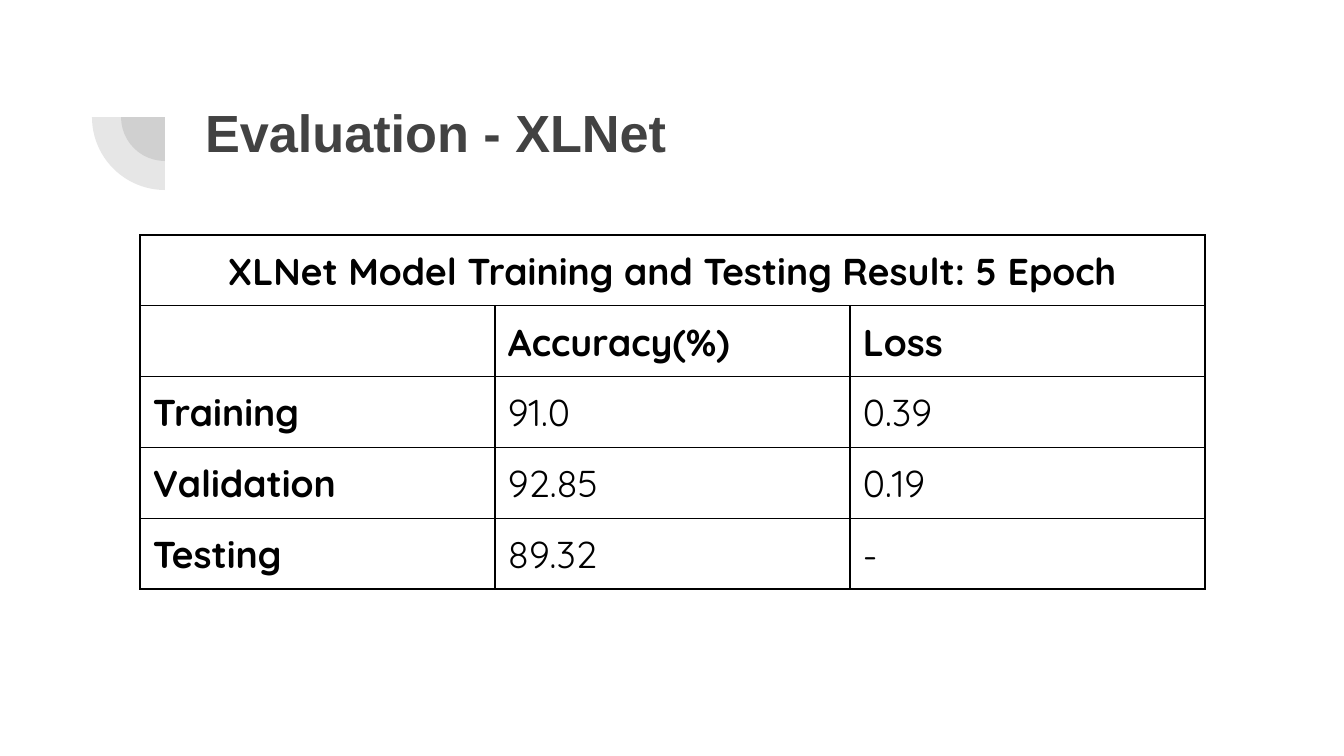
from lxml.etree import SubElement
from pptx import Presentation
from pptx.dml.color import RGBColor as RGB
from pptx.enum.shapes import MSO_SHAPE as SHAPE
from pptx.enum.text import PP_ALIGN as ALIGN
from pptx.oxml.ns import qn
from pptx.util import Emu, Pt

SCALE = 914400 / 134.4
INSET = 13
COLORS = {"gray": "424242", "black": "000000"}
TITLE = {"name": "Arial", "size": Pt(28), "bold": True}
HEAD = {"name": "Quicksand", "size": Pt(20), "bold": True}
BODY = {**HEAD, "bold": False}
ROWS = [
    ["XLNet Model Training and Testing Result: 5 Epoch", "", ""],
    ["", "Accuracy(%)", "Loss"],
    ["Training", "91.0", "0.39"],
    ["Validation", "92.85", "0.19"],
    ["Testing", "89.32", "-"],
]


def px(n):
    return Emu(round(n * SCALE))


def set_margins(obj):
    for side in ("left", "top", "right", "bottom"):
        setattr(obj, f"margin_{side}", px(INSET))


def write(tf, text, fmt, color, align=ALIGN.LEFT):
    p = tf.paragraphs[0]
    p.alignment = align
    r = p.add_run()
    r.text = text
    for key, value in fmt.items():
        setattr(r.font, key, value)
    r.font.color.rgb = RGB.from_string(COLORS[color])


def add_quarter(s, cx, cy, radius):
    sp = s.shapes.add_shape(SHAPE.PIE, px(cx - radius), px(cy - radius),
                            px(2 * radius), px(2 * radius))
    sp.rotation = 270
    sp.adjustments[0] = 108
    sp.adjustments[1] = 162
    sp.shadow.inherit = False
    sp.line.fill.background()
    sp.fill.solid()
    sp.fill.fore_color.rgb = RGB.from_string(COLORS["gray"])
    color = sp.fill._xPr.find(qn("a:solidFill"))[0]
    SubElement(color, qn("a:alpha"), val="13000")


def add_title(s, text, x, y, w, h):
    tf = s.shapes.add_textbox(px(x), px(y), px(w), px(h)).text_frame
    tf.word_wrap = True
    set_margins(tf)
    write(tf, text, TITLE, "gray")


def set_borders(cell):
    tcPr = cell._tc.get_or_add_tcPr()
    for i, side in enumerate(("lnL", "lnR", "lnT", "lnB")):
        ln = tcPr.makeelement(qn(f"a:{side}"), {"w": str(Pt(0.75))})
        fill = SubElement(ln, qn("a:solidFill"))
        SubElement(fill, qn("a:srgbClr"), val=COLORS["black"])
        tcPr.insert(i, ln)


def add_results(s, x, y, col_w, row_h):
    n_rows, n_cols = len(ROWS), len(ROWS[0])
    table = s.shapes.add_table(n_rows, n_cols, px(x), px(y),
                               px(col_w * n_cols), px(row_h * n_rows)).table
    table.first_row = table.horz_banding = False
    for col in table.columns:
        col.width = px(col_w)
    for i, row in enumerate(ROWS):
        table.rows[i].height = px(row_h)
        for j, text in enumerate(row):
            cell = table.cell(i, j)
            cell.fill.background()
            set_margins(cell)
            set_borders(cell)
            if text:
                fmt = HEAD if i < 2 or j == 0 else BODY
                align = ALIGN.CENTER if i == 0 else ALIGN.LEFT
                write(cell.text_frame, text, fmt, "black", align)
    table.cell(0, 0).merge(table.cell(0, n_cols - 1))


def main():
    prs = Presentation()
    prs.slide_width, prs.slide_height = px(1344), px(756)
    s = prs.slides.add_slide(prs.slide_layouts[6])
    for radius in (44, 73):
        add_quarter(s, 165, 117, radius)
    add_title(s, "Evaluation - XLNet", 192, 87, 1034, 146)
    add_results(s, 140, 235, 355, 56)
    prs.save("out.pptx")


if __name__ == "__main__":
    main()
